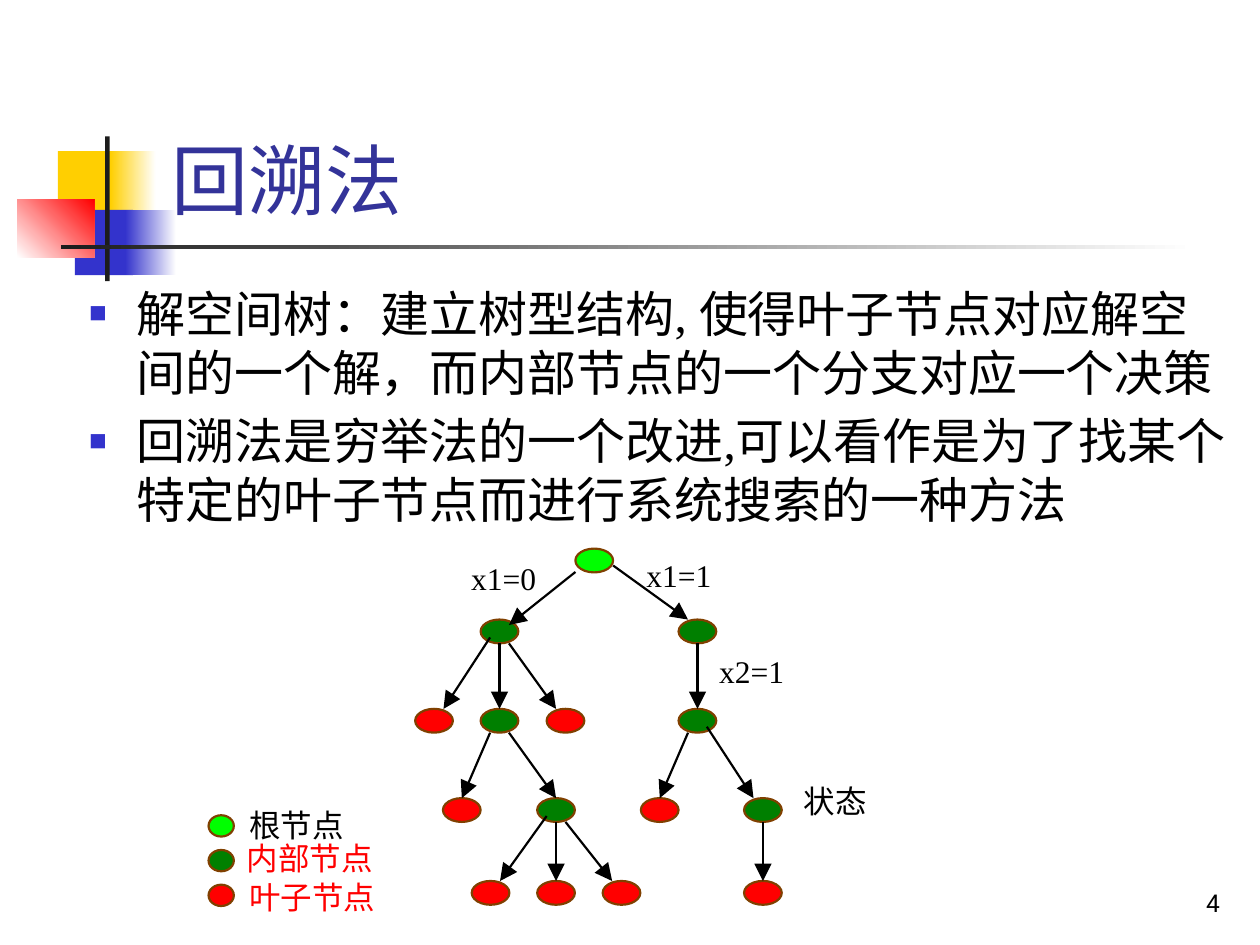
from pptx import Presentation
from pptx.dml.color import RGBColor
from pptx.enum.shapes import MSO_CONNECTOR as CONN, MSO_SHAPE as SHAPE
from pptx.enum.text import MSO_ANCHOR as ANCHOR, PP_ALIGN as ALIGN
from pptx.oxml.ns import qn
from pptx.util import Cm, Pt
from lxml import etree

SERIF, SANS, CAMBRIA = "Times New Roman", "Roboto", "Cambria"
BLACK, RED, BLUE, YELLOW, WHITE = "000000", "FF0000", "3333CC", "FFCF01", "FFFFFF"
ROOT, INNER, LEAF, OUTLINE = "00FF00", "007F00", RED, "804000"


def rgb(value):
    return RGBColor.from_string(value)


def sub(parent, tag, **attrs):
    return etree.SubElement(parent, qn(tag), attrs)


def add_run(p, text, size, color, font):
    r = p.add_run()
    r.text = text
    r.font.size, r.font.name = Pt(size), font
    r.font.color.rgb = rgb(color)


def add_box(shapes, x, y, w, h, anchor=ANCHOR.TOP):
    tf = shapes.add_textbox(Cm(x), Cm(y), Cm(w), Cm(h)).text_frame
    tf.word_wrap = True
    tf.vertical_anchor = anchor
    return tf


def add_label(shapes, x, y, w, text, color=BLACK, font=SERIF):
    tf = add_box(shapes, x, y, w, 1.02)
    add_run(tf.paragraphs[0], text, 18, color, font)


def add_block(shapes, x, y, w, h, color, end=None, angle=0):
    """Borderless rectangle, solid or fading from color to end."""
    sp = shapes.add_shape(SHAPE.RECTANGLE, Cm(x), Cm(y), Cm(w), Cm(h))
    sp.shadow.inherit = False
    sp.line.fill.background()
    if end is None:
        sp.fill.solid()
        sp.fill.fore_color.rgb = rgb(color)
        return
    sp.fill.gradient()
    sp.fill.gradient_angle = angle
    for stop, value in zip(sp.fill.gradient_stops, (color, end)):
        stop.color.rgb = rgb(value)


def add_node(shapes, cx, cy, w, h, color):
    sp = shapes.add_shape(SHAPE.OVAL, Cm(cx - w / 2), Cm(cy - h / 2), Cm(w), Cm(h))
    sp.shadow.inherit = False
    sp.fill.solid()
    sp.fill.fore_color.rgb = rgb(color)
    sp.line.color.rgb = rgb(OUTLINE)
    sp.line.width = Pt(1.25)


def add_arrow(shapes, x1, y1, x2, y2):
    line = shapes.add_connector(CONN.STRAIGHT, Cm(x1), Cm(y1), Cm(x2), Cm(y2))
    line.line.color.rgb = rgb(BLACK)
    line.line.width = Pt(1.25)
    props = line._element.spPr
    sub(props.find(qn("a:ln")), "a:tailEnd", type="triangle", w="lg", len="lg")
    sub(props, "a:effectLst")


def build_ornament(s, x, y):
    """Coloured squares with the crossing rules."""
    for dx, dy, w, h, *fill in (
        (0.82, 0.3, 1.22, 1.32, YELLOW),
        (1.88, 0.3, 0.91, 1.32, YELLOW, WHITE),
        (1.16, 1.48, 1.17, 1.32, BLUE),
        (2.18, 1.48, 1.02, 1.32, BLUE, WHITE),
        (0, 1.27, 1.55, 1.17, WHITE, RED, 45),
        (1.77, 0, 0.09, 2.92, "1C1C1C"),
        (0.88, 2.19, 22.86, 0.09, "1C1C1C", WHITE),
    ):
        add_block(s.shapes, x + dx, y + dy, w, h, *fill)


def build_title(s, x, y, w, h):
    tf = add_box(s.shapes, x, y, w, h, ANCHOR.BOTTOM)
    add_run(tf.paragraphs[0], "回溯法", 44, "333399", SANS)


def build_body(s, x, y, w, h):
    tf = add_box(s.shapes, x, y, w, h)
    bullets = (
        [("解空间树：建立树型结构, 使得叶子节点对应解空间的一个解，而内部节点的一个分支对应一个决策", SERIF)],
        [("回溯法是穷举法的一个改进,可以看作是为了找某个特定的叶子节点而进行系统搜索的", SERIF),
         ("一种", CAMBRIA), ("方法", SERIF)],
    )
    for i, runs in enumerate(bullets):
        p = tf.add_paragraph() if i else tf.paragraphs[0]
        if i:
            p.space_before = Pt(5.6)
        pPr = p._p.get_or_add_pPr()
        pPr.set("marL", str(Cm(0.95)))
        pPr.set("indent", str(-Cm(0.95)))
        sub(sub(pPr, "a:buClr"), "a:srgbClr", val=BLUE)
        sub(pPr, "a:buSzPct", val="60000")
        sub(pPr, "a:buFont", typeface=SERIF)
        sub(pPr, "a:buChar", char="■")
        for text, font in runs:
            add_run(p, text, 28, BLACK, font)


def build_tree(s, x, y):
    """Solution tree; x, y is the centre of its leftmost column and root row."""
    rows = (0, 1.43, 3.23, 5.03, 6.7)
    nodes = {  # name: (column, row, colour)
        "root": (3.23, 0, ROOT),
        "a": (1.32, 1, INNER), "b": (5.31, 1, INNER),
        "a1": (0, 2, LEAF), "a2": (1.32, 2, INNER), "a3": (2.65, 2, LEAF),
        "b1": (5.31, 2, INNER),
        "a21": (0.56, 3, LEAF), "a22": (2.46, 3, INNER),
        "b11": (4.55, 3, LEAF), "b12": (6.63, 3, INNER),
        "a221": (1.14, 4, LEAF), "a222": (2.46, 4, LEAF), "a223": (3.78, 4, LEAF),
        "b121": (6.63, 4, LEAF),
    }
    edges = (  # parent, child, start offset, end offset
        ("root", "a", (-0.38, 0.23), (0.19, -0.13)),
        ("root", "b", (0.38, 0.1), (-0.19, -0.24)),
        ("b", "b1", (0, 0.24), (0, -0.24)),
        ("b1", "b12", (0.19, 0.12), (-0.19, -0.24)),
        ("b1", "b11", (-0.19, 0.24), (0, -0.24)),
        ("b12", "b121", (0, 0.24), (0, -0.24)),
        ("a", "a3", (0.19, 0.24), (-0.19, -0.24)),
        ("a", "a2", (0, 0.24), (0, -0.24)),
        ("a", "a1", (-0.19, 0.12), (0.19, -0.24)),
        ("a2", "a22", (0.19, 0.24), (0, -0.24)),
        ("a2", "a21", (-0.19, 0.24), (0, -0.24)),
        ("a22", "a223", (0.19, 0.24), (-0.19, -0.24)),
        ("a22", "a222", (0, 0.24), (0, -0.24)),
        ("a22", "a221", (-0.19, 0.12), (0.19, -0.24)),
    )
    shapes = s.shapes.add_group_shape().shapes
    centres = {}
    for name, (col, row, color) in nodes.items():
        centres[name] = cx, cy = x + col, y + rows[row]
        add_node(shapes, cx, cy, 0.76, 0.48, color)
    for parent, child, (dx1, dy1), (dx2, dy2) in edges:
        (px, py), (cx, cy) = centres[parent], centres[child]
        add_arrow(shapes, px + dx1, py + dy1, cx + dx2, cy + dy2)
    # Branch and state labels
    for dx, dy, text in ((0.5, -0.15, "x1=0"), (4.03, -0.21, "x1=1"),
                         (5.5, 1.72, "x2=1"), (7.2, 4.35, "状态")):
        add_label(s.shapes, x + dx, y + dy, 2.24, text)


def build_legend(s, x, y):
    shapes = s.shapes.add_group_shape().shapes
    for i, (text, fill, color, font, dx, dy) in enumerate((
        ("根节点", ROOT, BLACK, SERIF, 0.58, 0),
        ("内部节点", "008000", RED, CAMBRIA, 0.53, 0.66),
        ("叶子节点", LEAF, RED, SERIF, 0.58, 1.45),
    )):
        add_node(shapes, x + 0.26, y + 0.52 + 0.7 * i, 0.51, 0.43, fill)
        add_label(shapes, x + dx, y + dy, 4, text, color, font)


def build_number(s, x, y, w, h):
    p = add_box(s.shapes, x, y, w, h, ANCHOR.BOTTOM).paragraphs[0]
    p.alignment = ALIGN.RIGHT
    add_run(p, "4", 14, BLACK, SANS)


def main():
    prs = Presentation()
    prs.slide_width, prs.slide_height = Cm(25.4), Cm(19.05)
    s = prs.slides.add_slide(prs.slide_layouts[6])
    build_ornament(s, 0.35, 2.75)
    build_title(s, 3.2, 0.59, 21.64, 4.06)
    build_body(s, 1.55, 5.59, 23.5, 5.2)
    build_number(s, 19.56, 17.35, 5.28, 1.27)
    build_tree(s, 8.75, 11.3)
    build_legend(s, 4.2, 16.13)
    prs.save("out.pptx")


if __name__ == "__main__":
    main()
